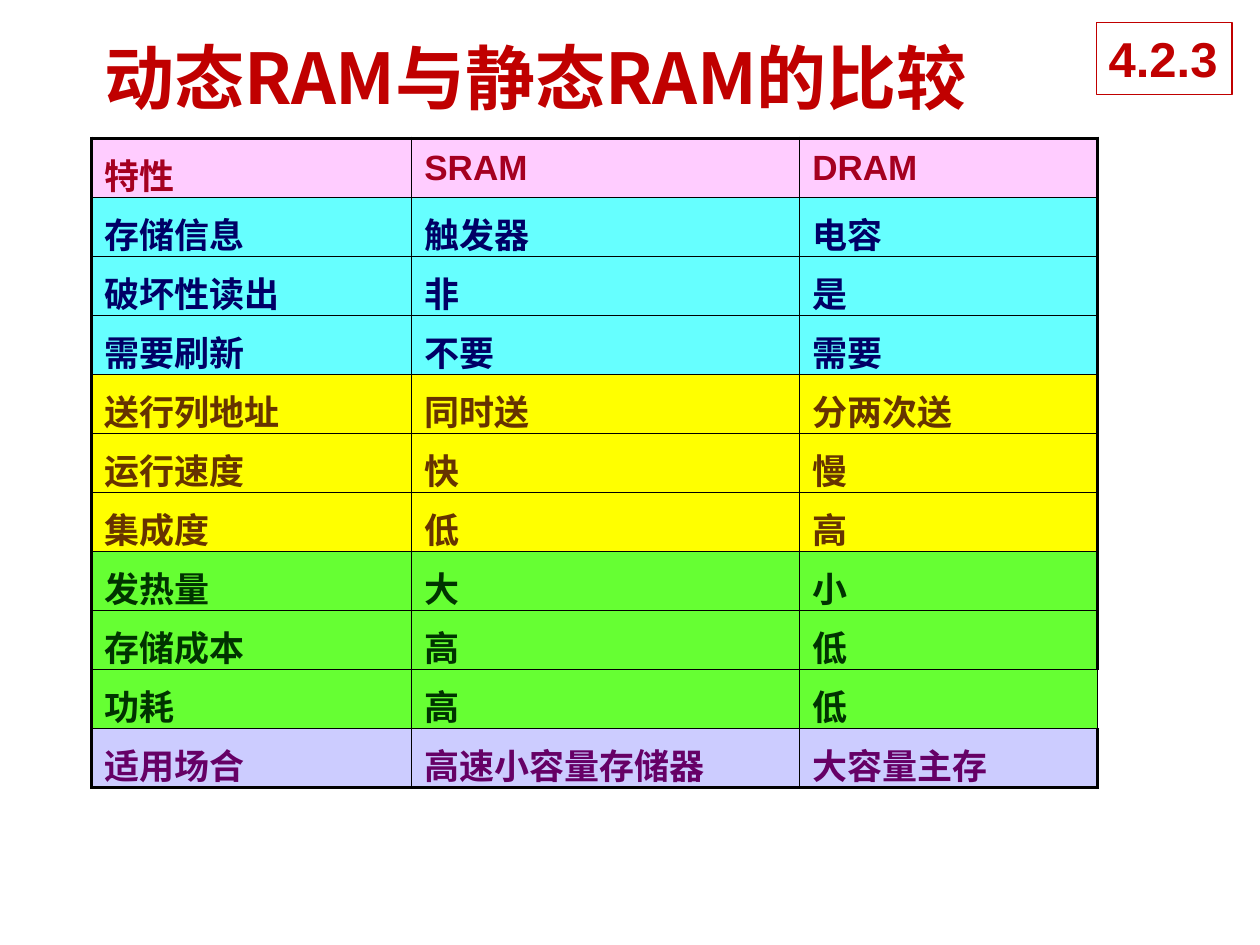
import pptx
import pptx.dml.color
import pptx.enum.shapes
import pptx.enum.text
import pptx.oxml.ns
import pptx.util
from lxml import etree

Cm = pptx.util.Cm
Pt = pptx.util.Pt
TEXT = pptx.enum.text
RED = "C00000"
CJK = "Noto Sans CJK SC"

# Cell fill, text colour and rows of each group
GROUPS = [
    ("FFCCFF", "A50021", [("特性", "SRAM", "DRAM")]),
    ("66FFFF", "000066", [("存储信息", "触发器", "电容"),
                          ("破坏性读出", "非", "是"),
                          ("需要刷新", "不要", "需要")]),
    ("FFFF00", "663300", [("送行列地址", "同时送", "分两次送"),
                          ("运行速度", "快", "慢"),
                          ("集成度", "低", "高")]),
    ("66FF33", "003300", [("发热量", "大", "小"),
                          ("存储成本", "高", "低"),
                          ("功耗", "高", "低")]),
    ("CCCCFF", "660066", [("适用场合", "高速小容量存储器", "大容量主存")]),
]
WIDTHS = [6.45, 7.82, 6.0]
HEIGHT = 1.19
THIN, THICK = 1, 2.25
PLAIN = "功耗"  # this row keeps a thin right edge


def color(code):
    return pptx.dml.color.RGBColor.from_string(code)


def paint(part, code):
    part.fill.solid()
    part.fill.fore_color.rgb = color(code)


def write(frame, text, size=20, font="Arial", code=RED, align=None):
    para = frame.paragraphs[0]
    para.alignment = align
    run = para.add_run()
    run.text = text
    run.font.size = Pt(size)
    run.font.bold = True
    run.font.name = font
    run.font.color.rgb = color(code)
    east = etree.SubElement(run.font._element, pptx.oxml.ns.qn("a:ea"))
    east.set("typeface", CJK)


def border(cell, widths):
    """Draw the left, right, top and bottom edges in that order."""
    props = cell._tc.get_or_add_tcPr()
    for spot, (side, width) in enumerate(zip("LRTB", widths)):
        line = etree.Element(pptx.oxml.ns.qn("a:ln" + side), w=str(Pt(width)))
        solid = etree.SubElement(line, pptx.oxml.ns.qn("a:solidFill"))
        etree.SubElement(solid, pptx.oxml.ns.qn("a:srgbClr"), val="000000")
        props.insert(spot, line)


def add_title(slide):
    box = slide.shapes.add_textbox(Cm(0.51), Cm(0.56), Cm(20.57), Cm(1.96))
    frame = box.text_frame
    frame.word_wrap = True
    frame.vertical_anchor = TEXT.MSO_ANCHOR.MIDDLE
    write(frame, "动态RAM与静态RAM的比较", size=40, font=CJK,
          align=TEXT.PP_ALIGN.CENTER)


def add_badge(slide):
    box = slide.shapes.add_shape(pptx.enum.shapes.MSO_SHAPE.RECTANGLE,
                                 Cm(22.1), Cm(0.46), Cm(2.74), Cm(1.45))
    box.shadow.inherit = False
    paint(box, "FFFFFF")
    box.line.color.rgb = color(RED)
    box.line.width = Pt(0.75)
    frame = box.text_frame
    frame.word_wrap = False
    frame.auto_size = TEXT.MSO_AUTO_SIZE.SHAPE_TO_FIT_TEXT
    frame.vertical_anchor = TEXT.MSO_ANCHOR.TOP
    write(frame, "4.2.3", size=28, align=TEXT.PP_ALIGN.LEFT)


def add_grid(slide):
    rows = [(fill, code, row) for fill, code, group in GROUPS for row in group]
    last, end = len(rows) - 1, len(WIDTHS) - 1
    table = slide.shapes.add_table(
        len(rows), len(WIDTHS), Cm(1.85), Cm(2.79),
        Cm(sum(WIDTHS)), Cm(HEIGHT * len(rows))).table
    table.first_row = table.horz_banding = False
    for column, width in zip(table.columns, WIDTHS):
        column.width = Cm(width)
    for i, (fill, code, row) in enumerate(rows):
        table.rows[i].height = Cm(HEIGHT)
        for j, text in enumerate(row):
            cell = table.cell(i, j)
            cell.margin_top, cell.margin_bottom = Cm(0.2), Cm(0.13)
            paint(cell, fill)
            write(cell.text_frame, text, code=code)
            outer = (j == 0, j == end and row[0] != PLAIN, i == 0, i == last)
            border(cell, [THICK if edge else THIN for edge in outer])


def main():
    deck = pptx.Presentation()
    deck.slide_width, deck.slide_height = Cm(25.4), Cm(19.05)
    slide = deck.slides.add_slide(deck.slide_layouts[6])
    add_title(slide)
    add_badge(slide)
    add_grid(slide)
    deck.save("out.pptx")


if __name__ == "__main__":
    main()
